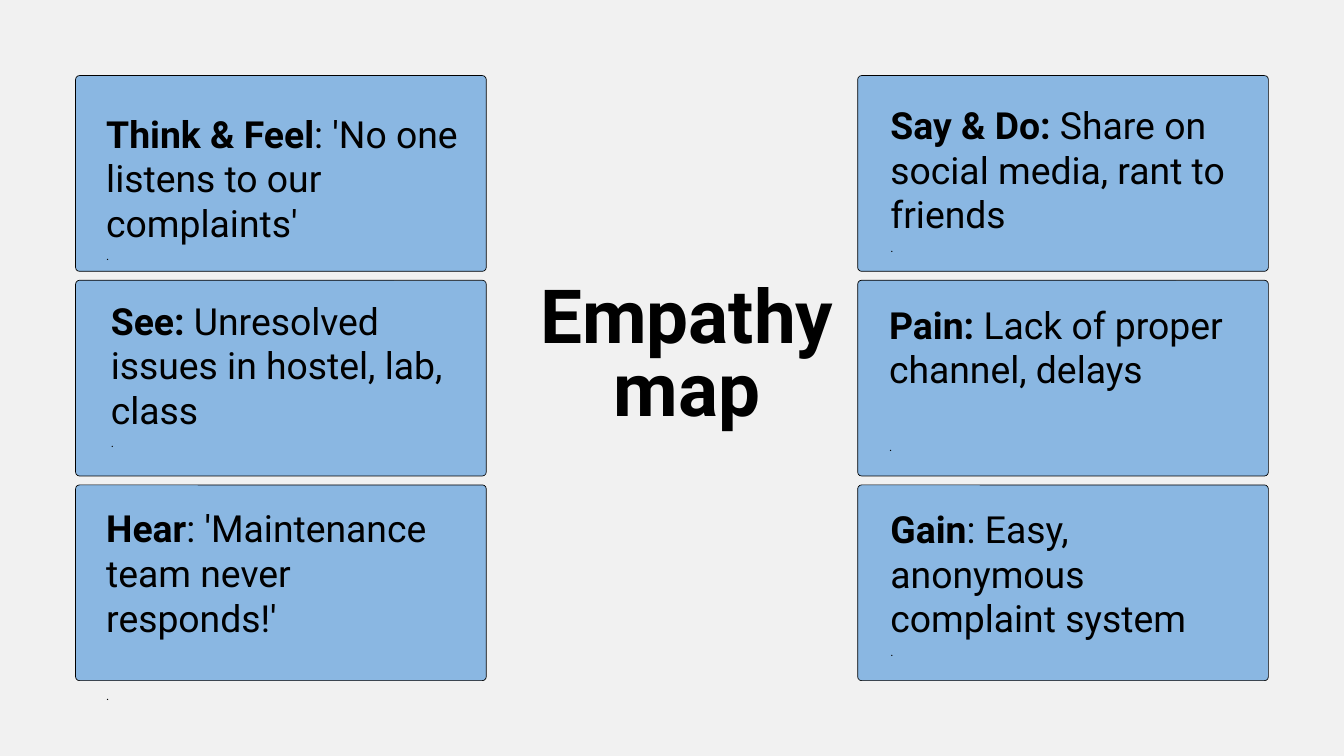
from dataclasses import dataclass

from pptx import Presentation
from pptx.dml.color import RGBColor
from pptx.enum import shapes, text
from pptx.util import Pt


@dataclass(frozen=True)
class Theme:
    back: str = "F1F1F1"
    card: str = "8AB7E2"
    ink: str = "000000"
    face: str = "Roboto"
    title: float = 80
    body: float = 40
    dot: float = 13


class Board:
    def __init__(self, slide, theme):
        self.slide, self.theme = slide, theme
        fill = slide.background.fill
        fill.solid()
        fill.fore_color.rgb = RGBColor.from_string(theme.back)

    def card(self, x, y, w, h):
        box = self.slide.shapes.add_shape(
            shapes.MSO_SHAPE.ROUNDED_RECTANGLE, Pt(x), Pt(y), Pt(w), Pt(h))
        box.adjustments[0] = 0.02
        box.shadow.inherit = False
        box.fill.solid()
        box.fill.fore_color.rgb = RGBColor.from_string(self.theme.card)
        box.line.color.rgb = RGBColor.from_string(self.theme.ink)
        box.line.width = Pt(0.75)

    def frame(self, x, y, w, h):
        box = self.slide.shapes.add_textbox(Pt(x), Pt(y), Pt(w), Pt(h))
        frame = box.text_frame
        frame.word_wrap = True
        frame.auto_size = text.MSO_AUTO_SIZE.SHAPE_TO_FIT_TEXT
        frame.margin_left = frame.margin_right = 0
        frame.margin_top = frame.margin_bottom = 0
        return frame

    def style(self, para, size, bold=None):
        font = para.font
        font.name, font.size, font.bold = self.theme.face, Pt(size), bold
        font.color.rgb = RGBColor.from_string(self.theme.ink)

    def title(self, words, x, y, w, h):
        para = self.frame(x, y, w, h).paragraphs[0]
        para.text = words
        para.alignment = text.PP_ALIGN.CENTER
        para.line_spacing = Pt(77.6)
        self.style(para, self.theme.title, True)

    def note(self, head, words, x, y, w, h, gap):
        frame = self.frame(x, y, w, h)
        para = frame.paragraphs[0]
        self.style(para, self.theme.body)
        for part, bold in ((head, True), (words, False)):
            run = para.add_run()
            run.text, run.font.bold = part, bold
        dot = frame.add_paragraph()
        dot.text = "."
        dot.line_spacing = Pt(19.4)
        dot.space_before = Pt(gap)
        self.style(dot, self.theme.dot)


def main():
    """Build the empathy map slide."""
    deck = Presentation()
    deck.slide_width, deck.slide_height = Pt(1440), Pt(810)
    board = Board(deck.slides.add_slide(deck.slide_layouts[6]), Theme())

    for x in (919, 81):
        for row in range(3):
            board.card(x, 81 + row * 219.3, 440, 209.7)

    board.title("Empathy map", 550.8, 306.7, 370.8, 160.6)
    notes = (
        ("Think & Feel", ": 'No one listens to our complaints'", 113.8, 118.8, 0),
        ("See: ", "Unresolved issues in hostel, lab, class", 118.8, 319, 0),
        ("Hear", ": 'Maintenance team never responds!'", 113.8, 541.4, 48),
        ("Say & Do: ", "Share on social media, rant to friends", 954, 109.4, 0),
        ("Pain: ", "Lack of proper channel, delays", 952.6, 323.3, 48),
        ("Gain", ": Easy, anonymous complaint system", 954, 542.2, 0),
    )
    for head, words, x, y, gap in notes:
        board.note(head, words, x, y, 380.2, 163.4, gap)

    deck.save("out.pptx")


if __name__ == "__main__":
    main()
